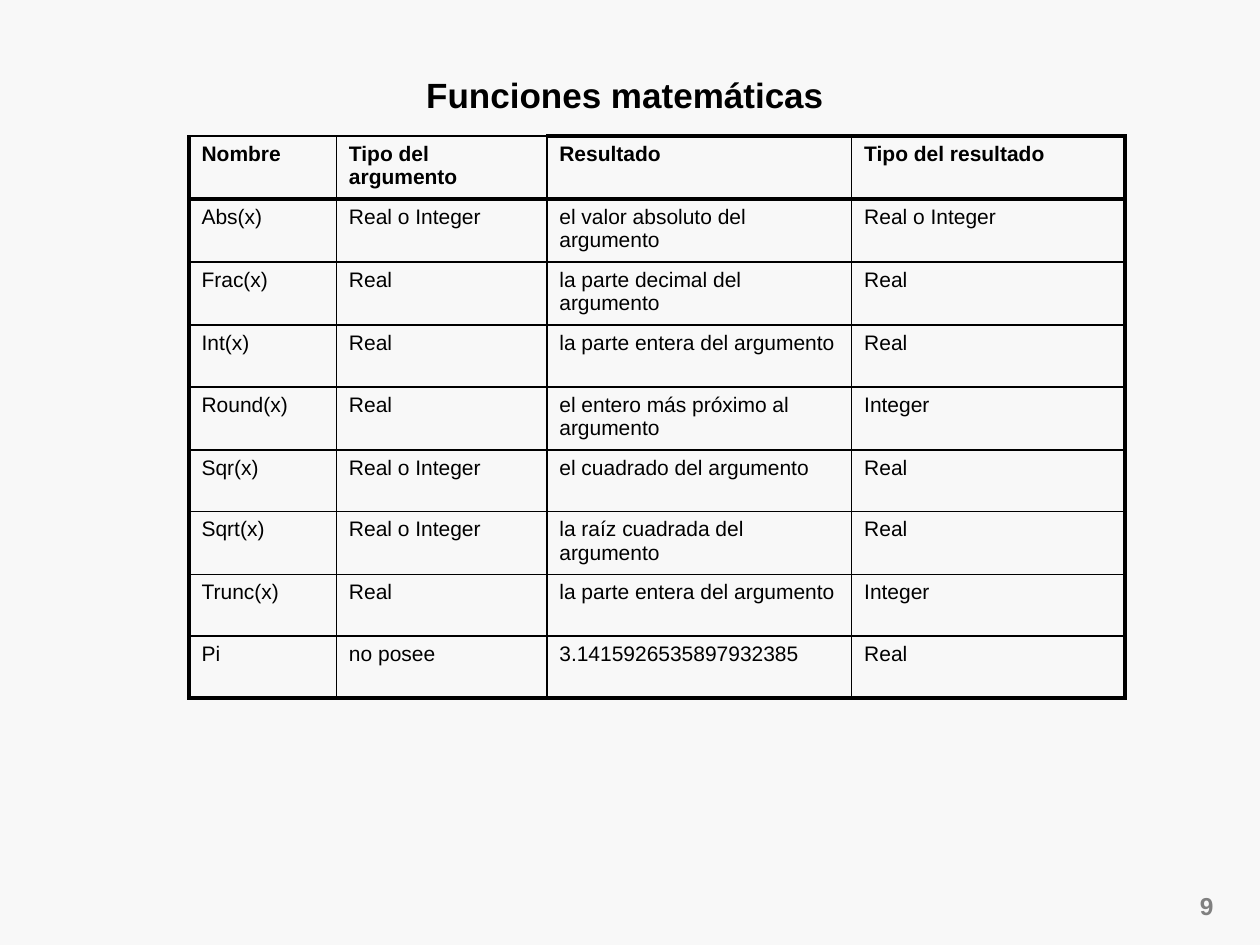
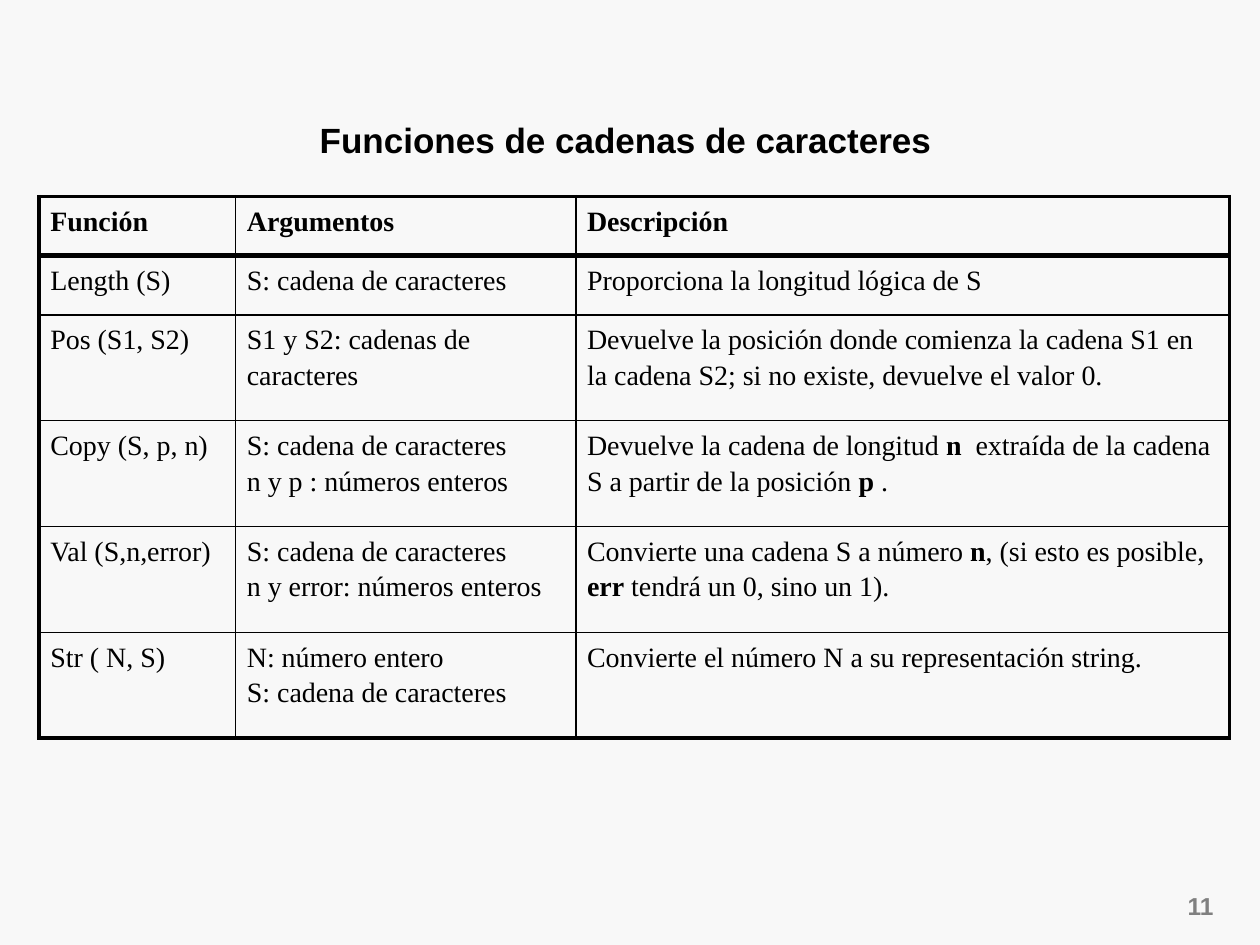
from dataclasses import dataclass

from lxml import etree
from pptx import Presentation
from pptx import util as u
from pptx.dml.color import RGBColor
from pptx.enum import text
from pptx.oxml.ns import qn

EMU_PER_PX = 9144  # 100 px to the inch
BACKGROUND, INK, GREY = "F8F8F8", "000000", "808080"
SANS, SERIF = "Arial", "Times New Roman"
THIN, OUTER, HEADER_RULE = 1, 2.25, 3
LEFT, CENTER, RIGHT, JUSTIFY = (
    text.PP_ALIGN.LEFT, text.PP_ALIGN.CENTER, text.PP_ALIGN.RIGHT, text.PP_ALIGN.JUSTIFY)


@dataclass
class Box:
    x: int
    y: int
    w: int
    h: int


@dataclass
class FunctionTable:
    x: int
    y: int
    cols: list[int]
    row_heights: list[int]
    rows: list[tuple[str, ...]]  # *word* is bold, a newline starts a paragraph
    font: str
    size: int
    inset_x: int
    inset_y: int
    line_spacing: float = 1.0
    justified: tuple[int, ...] = ()  # columns justified below the header
    thin_top: int = 0  # leading columns with a thin top edge


@dataclass
class FunctionSlide:
    title: str
    title_box: Box
    number: str
    table: FunctionTable


def px(n: int) -> u.Emu:
    return u.Emu(n * EMU_PER_PX)


def color(hex_value: str) -> RGBColor:
    return RGBColor.from_string(hex_value)


def place(sp, box: Box) -> None:
    sp.left, sp.top, sp.width, sp.height = map(px, (box.x, box.y, box.w, box.h))


def format_run(r, font: str, size: int, hex_value: str, bold: bool) -> None:
    r.font.name, r.font.size, r.font.bold = font, u.Pt(size), bold
    r.font.color.rgb = color(hex_value)


def write_line(sp, line: str, size: int, hex_value: str, align) -> None:
    """Put one bold line in a title or text box."""
    tf = sp.text_frame
    tf.text = line
    tf.word_wrap = True
    tf.auto_size = text.MSO_AUTO_SIZE.NONE
    tf.vertical_anchor = text.MSO_ANCHOR.TOP
    p = tf.paragraphs[0]
    p.alignment = align
    format_run(p.runs[0], SANS, size, hex_value, True)


def set_borders(cell, widths: dict[str, float]) -> None:
    tc_pr = cell._tc.get_or_add_tcPr()
    for i, (side, width) in enumerate(widths.items()):
        ln = etree.Element(qn(f"a:ln{side}"), w=str(u.Pt(width)))
        fill = etree.SubElement(ln, qn("a:solidFill"))
        etree.SubElement(fill, qn("a:srgbClr"), val=INK)
        tc_pr.insert(i, ln)


def border_widths(spec: FunctionTable, row: int, col: int) -> dict[str, float]:
    last_row, last_col = len(spec.rows) - 1, len(spec.cols) - 1
    top_edge = THIN if col < spec.thin_top else OUTER
    return {
        "L": OUTER if col == 0 else THIN,
        "R": OUTER if col == last_col else THIN,
        "T": {0: top_edge, 1: HEADER_RULE}.get(row, THIN),
        "B": {0: HEADER_RULE, last_row: OUTER}.get(row, THIN),
    }


def fill_cell(cell, content: str, spec: FunctionTable, row: int, col: int) -> None:
    cell.margin_left = cell.margin_right = px(spec.inset_x)
    cell.margin_top = cell.margin_bottom = px(spec.inset_y)
    cell.fill.background()
    set_borders(cell, border_widths(spec, row, col))
    tf = cell.text_frame
    tf.text = content.replace("*", "")
    for p, line in zip(tf.paragraphs, content.split("\n")):
        p.alignment = JUSTIFY if row and col in spec.justified else LEFT
        p.line_spacing = spec.line_spacing
        parts = line.split("*")
        p.runs[0].text = parts[0]
        for part in parts[1:]:
            p.add_run().text = part
        for i, r in enumerate(p.runs):
            format_run(r, spec.font, spec.size, INK, row == 0 or i % 2 == 1)


def add_function_table(s, spec: FunctionTable) -> None:
    frame = s.shapes.add_table(
        len(spec.rows), len(spec.cols), px(spec.x), px(spec.y),
        px(sum(spec.cols)), px(sum(spec.row_heights)))
    table = frame.table
    table.first_row = table.horz_banding = False
    for column, width in zip(table.columns, spec.cols):
        column.width = px(width)
    for table_row, height in zip(table.rows, spec.row_heights):
        table_row.height = px(height)
    for row, contents in enumerate(spec.rows):
        for col, content in enumerate(contents):
            fill_cell(table.cell(row, col), content, spec, row, col)


def add_function_slide(prs, spec: FunctionSlide) -> None:
    s = prs.slides.add_slide(prs.slide_layouts[5])  # title only
    place(s.shapes.title, spec.title_box)
    write_line(s.shapes.title, spec.title, 20, INK, CENTER)
    add_function_table(s, spec.table)
    # Page number
    sp = s.shapes.add_textbox(px(908), px(702), px(65), px(33))
    write_line(sp, spec.number, 14, GREY, RIGHT)


MATH = FunctionTable(
    x=150, y=108, cols=[117, 167, 242, 217],
    row_heights=[50, 50, 50, 49, 50, 49, 50, 49, 49],
    font=SANS, size=12, inset_x=10, inset_y=5, justified=(0, 1, 3), thin_top=2,
    rows=[
        ("Nombre", "Tipo del argumento", "Resultado", "Tipo del resultado"),
        ("Abs(x)", "Real o Integer", "el valor absoluto del argumento", "Real o Integer"),
        ("Frac(x)", "Real", "la parte decimal del argumento", "Real"),
        ("Int(x)", "Real", "la parte entera del argumento", "Real"),
        ("Round(x)", "Real", "el entero más próximo al argumento", "Integer"),
        ("Sqr(x)", "Real o Integer", "el cuadrado del argumento", "Real"),
        ("Sqrt(x)", "Real o Integer", "la raíz cuadrada del argumento", "Real"),
        ("Trunc(x)", "Real", "la parte entera del argumento", "Integer"),
        ("Pi", "no posee", "3.1415926535897932385", "Real"),
    ])

STRINGS = FunctionTable(
    x=31, y=156, cols=[156, 270, 519], row_heights=[47] * 2 + [84] * 4,
    font=SERIF, size=16, inset_x=9, inset_y=4, line_spacing=1.15,
    rows=[
        ("Función", "Argumentos", "Descripción"),
        ("Length (S)", "S: cadena de caracteres", "Proporciona la longitud lógica de S"),
        ("Pos (S1, S2)", "S1 y S2: cadenas de caracteres",
         "Devuelve la posición donde comienza la cadena S1 en la cadena S2; "
         "si no existe, devuelve el valor 0."),
        ("Copy (S, p, n)", "S: cadena de caracteres\nn y p : números enteros",
         "Devuelve la cadena de longitud *n*  extraída de la cadena S "
         "a partir de la posición *p* ."),
        ("Val (S,n,error)", "S: cadena de caracteres\nn y error: números enteros",
         "Convierte una cadena S a número *n*, (si esto es posible, "
         "*err* tendrá un 0, sino un 1)."),
        ("Str ( N, S)", "N: número entero\nS: cadena de caracteres",
         "Convierte el número N a su representación string."),
    ])

SLIDES = [
    FunctionSlide("Funciones matemáticas", Box(125, 53, 742, 43), "9", MATH),
    FunctionSlide("Funciones de cadenas de caracteres ", Box(117, 89, 767, 44), "11", STRINGS),
]


def main() -> None:
    prs = Presentation()
    prs.slide_width, prs.slide_height = px(1000), px(750)
    # Shared background
    fill = prs.slide_master.background.fill
    fill.solid()
    fill.fore_color.rgb = color(BACKGROUND)
    for spec in SLIDES:
        add_function_slide(prs, spec)
    prs.save("out.pptx")


if __name__ == "__main__":
    main()
